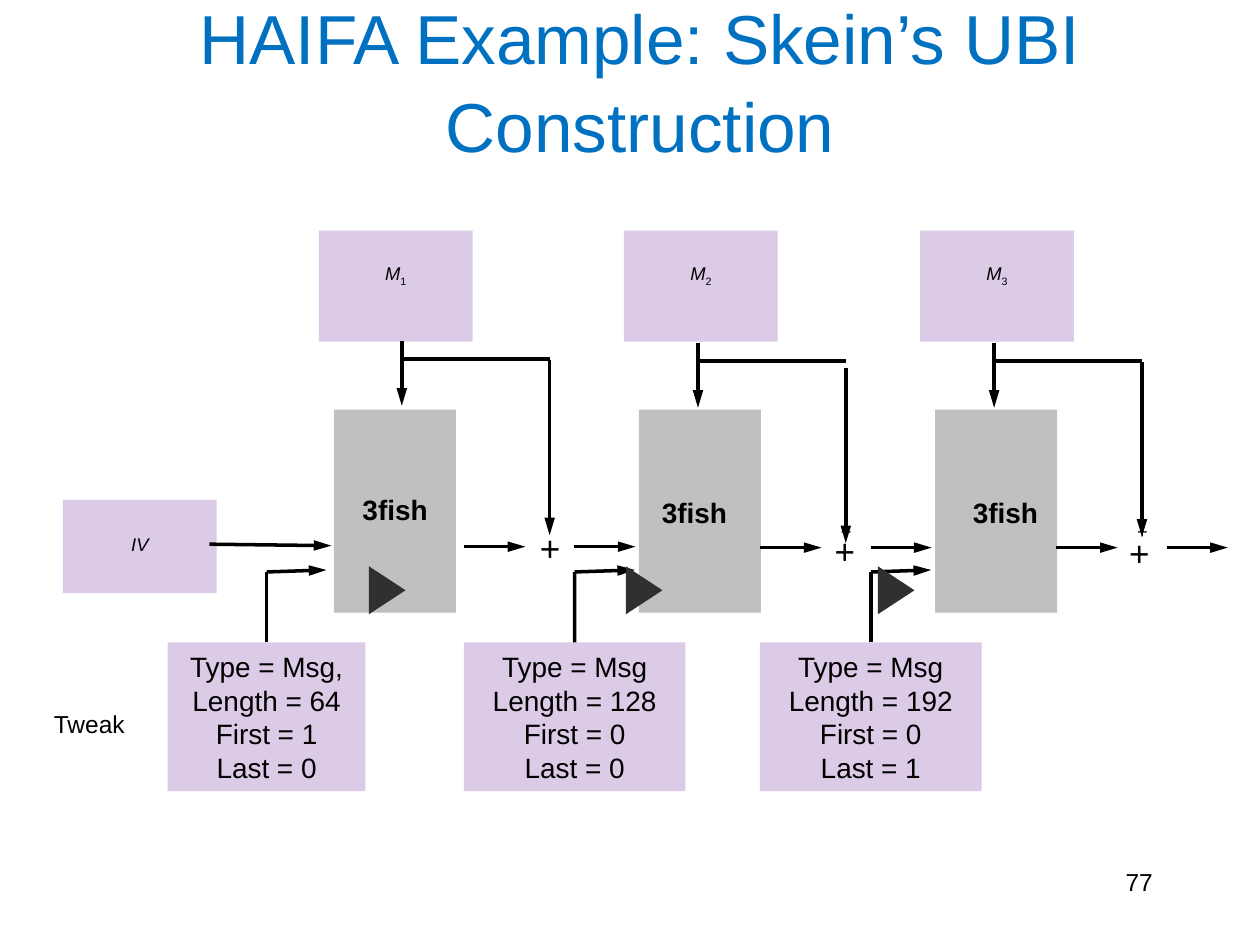
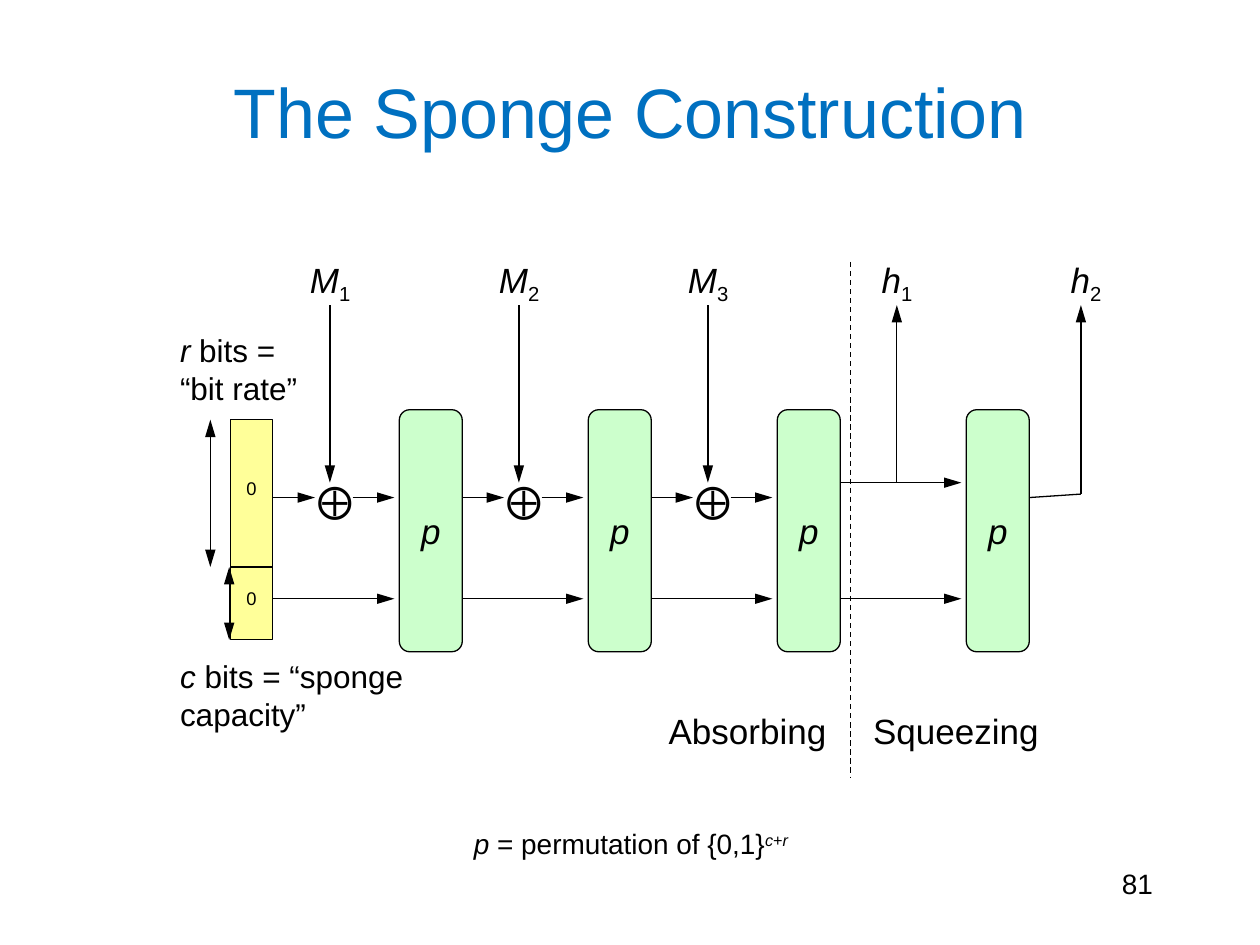
"""Builds two slides on hash constructions: Skein's UBI chain and the sponge."""
from lxml.etree import SubElement
from pptx import Presentation
from pptx.dml.color import RGBColor
from pptx.enum.dml import MSO_LINE
from pptx.enum.shapes import MSO_CONNECTOR, MSO_SHAPE
from pptx.enum.text import MSO_ANCHOR, PP_ALIGN
from pptx.oxml.ns import qn
from pptx.util import Cm, Pt

FONT = "Arial"
BLACK, TITLE_BLUE, PURPLE = "000000", "0070C0", "7030A0"
GRAY, DARK, YELLOW, GREEN = "C0C0C0", "303030", "FFFF99", "CCFFCC"
LEFT, CENTER, RIGHT = PP_ALIGN.LEFT, PP_ALIGN.CENTER, PP_ALIGN.RIGHT

UBI_TITLE = {"text": "HAIFA Example: Skein’s UBI Construction", "size": 39.6,
             "box": (2.11, 0, 21.59, 3.18), "spacing": 1.05}
SPONGE_TITLE = {"text": "The Sponge Construction", "size": 40,
                "box": (1.91, 0.64, 21.59, 3.18), "spacing": 1}

UBI_PITCH = 5.97
UBI_STAGES = [
    {"block": 6.73, "label": (6.81, 9.8, 2.31), "marker": 7.32, "drop": 0, "feed": 7.26,
     "tweak_width": 3.99, "tweak_end": 6.58,
     "tweak": ["Type = Msg,", "Length = 64", "First = 1", "Last = 0"]},
    {"block": 12.88, "label": (12.78, 9.86, 2.44), "marker": 12.5, "drop": 0.04, "feed": 7.42,
     "tweak_width": 4.47, "tweak_end": 12.8,
     "tweak": ["Type = Msg", "Length = 128", "First = 0", "Last = 0"]},
    {"block": 18.85, "label": (19.05, 9.86, 2.44), "marker": 17.58, "drop": 0.04, "feed": 7.29,
     "tweak_width": 4.47, "tweak_end": 18.77,
     "tweak": ["Type = Msg", "Length = 192", "First = 0", "Last = 1"]},
]

SPONGE_PITCH = 3.81
SPONGE_LABELS = ["M1", "M2", "M3", "h1", "h2"]
ABSORB_COUNT, BLOCK_COUNT = 3, 4
STATE_CELLS = [(8.46, 2.97), (11.43, 1.47)]
SPONGE_NOTES = [
    ([("r", "i"), (" bits = “bit rate”", "")], (3.38, 6.55, 2.97, 1.8), 18, LEFT),
    ([("c", "i"), (" bits = “sponge capacity”", "")], (3.38, 13.13, 5.92, 1.8), 18, LEFT),
    ([("Absorbing", "")], (11.63, 14.17, 5.28, 1.12), 20, RIGHT),
    ([("Squeezing", "")], (17.35, 14.17, 5.28, 1.12), 20, LEFT),
    ([("p", "i"), (" = permutation of {0,1}", ""), ("c", "i^"), ("+", "^"), ("r", "i^")],
     (6.05, 16.54, 13.34, 0.94), 16, CENTER),
]


def rgb(color):
    return RGBColor.from_string(color)


def write_text(frame, paragraphs, size, align=CENTER, color=BLACK, spacing=None):
    frame.word_wrap = True
    for index, runs in enumerate(paragraphs):
        paragraph = frame.paragraphs[0] if index == 0 else frame.add_paragraph()
        paragraph.alignment = align
        if spacing:
            paragraph.line_spacing = spacing
        for text, style in runs:
            run = paragraph.add_run()
            run.text = text
            run.font.name = FONT
            run.font.size = Pt(size)
            run.font.color.rgb = rgb(color)
            run.font.italic = "i" in style
            run.font.bold = "b" in style
            if "_" in style or "^" in style:
                baseline = "-25000" if "_" in style else "30000"
                run.font._element.set("baseline", baseline)


def add_text(slide, runs, box, size, align=CENTER, color=BLACK,
             anchor=MSO_ANCHOR.TOP, spacing=None):
    text_box = slide.shapes.add_textbox(*map(Cm, box))
    text_box.text_frame.vertical_anchor = anchor
    write_text(text_box.text_frame, [runs], size, align, color, spacing)


def add_box(slide, box, fill, outline=False, alpha=None, kind=MSO_SHAPE.RECTANGLE):
    shape = slide.shapes.add_shape(kind, *map(Cm, box))
    shape.shadow.inherit = False
    shape.fill.solid()
    shape.fill.fore_color.rgb = rgb(fill)
    if alpha:
        color = shape._element.spPr.find(".//" + qn("a:srgbClr"))
        SubElement(color, qn("a:alpha")).set("val", str(alpha * 1000))
    if outline:
        shape.line.color.rgb = rgb(BLACK)
        shape.line.width = Pt(0.75)
    else:
        shape.line.fill.background()
    return shape


def fill_box(shape, paragraphs, size, lift=0):
    frame = shape.text_frame
    frame.vertical_anchor = MSO_ANCHOR.MIDDLE
    frame.margin_bottom = Cm(0.13 + 2 * lift)
    write_text(frame, paragraphs, size)


def add_line(slide, start, end, width, heads="", dash=False):
    connector = slide.shapes.add_connector(
        MSO_CONNECTOR.STRAIGHT, *map(Cm, (*start, *end)))
    connector.line.color.rgb = rgb(BLACK)
    connector.line.width = Pt(width)
    if dash:
        connector.line.dash_style = MSO_LINE.DASH
    outline = connector.line._get_or_add_ln()
    for mark, tag in (("<", "a:headEnd"), (">", "a:tailEnd")):
        if mark in heads:
            arrow = SubElement(outline, qn(tag))
            for name, value in (("type", "triangle"), ("w", "med"), ("len", "lg")):
                arrow.set(name, value)
    SubElement(connector._element.spPr, qn("a:effectLst"))
    return connector


def start_slide(presentation, title, number, number_size):
    slide = presentation.slides.add_slide(presentation.slide_layouts[6])
    add_text(slide, [(title["text"], "")], title["box"], title["size"],
             color=TITLE_BLUE, anchor=MSO_ANCHOR.MIDDLE, spacing=title["spacing"])
    add_text(slide, [(number, "")], (18.21, 17.35, 5.28, 1.27), number_size, RIGHT)
    return slide


def indexed(label):
    return [(label[0], "i"), (label[1:], "_")]


def add_ubi_stage(slide, index, stage):
    shift, drop = index * UBI_PITCH, stage["drop"]
    block = stage["block"]
    add_box(slide, (block, 8.26, 2.46, 4.09), GRAY)
    message = add_box(slide, (block - 0.3, 4.65, 3.1, 2.24), PURPLE, alpha=25)
    fill_box(message, [indexed(f"M{index + 1}")], 10.5, lift=0.23)

    message_x, xor_x = 8.1 + shift, 11.08 + shift
    branch_y, chain_y = 7.24 + drop, 11.02 + drop / 2
    add_line(slide, (message_x, 6.88 + drop), (message_x, 8.18 + drop), 2, ">")
    add_line(slide, (message_x, branch_y), (xor_x, branch_y), 2)
    add_line(slide, (xor_x, stage["feed"]), (xor_x, stage["feed"] + 3.53), 2, ">")
    for start, length in ((9.35, 1.24), (11.58, 1.23)):
        add_line(slide, (start + shift, chain_y), (start + length + shift, chain_y), 2, ">")
    if index:
        add_text(slide, [("+", "")], (10.34 + shift, 10.36, 1.5, 0.71), 10.5)
    add_text(slide, [("+", "")], (10.34 + index * 5.94, 10.49 + index * 0.05, 1.5, 1.12), 20)

    tweak_x, width = 3.38 + shift, stage["tweak_width"]
    tweak = add_box(slide, (tweak_x, 12.95, width, 3), PURPLE, alpha=25)
    fill_box(tweak, [[(line, "")] for line in stage["tweak"]], 16)
    corner = (tweak_x + width / 2, 11.53)
    riser = add_line(slide, (corner[0], 12.95), corner, 2)
    riser.begin_connect(tweak, 0)
    add_line(slide, corner, (stage["tweak_end"], 11.49), 2, ">")

    add_text(slide, [("3fish", "b")], (*stage["label"], 0.94), 16)
    marker = add_box(slide, (stage["marker"], 11.53, 0.97, 0.74), DARK,
                     kind=MSO_SHAPE.ISOSCELES_TRIANGLE)
    marker.rotation = 90


def build_ubi(presentation):
    slide = start_slide(presentation, UBI_TITLE, "77", 14)
    initial_value = add_box(slide, (1.27, 10.08, 3.1, 1.88), PURPLE, alpha=25)
    fill_box(initial_value, [[("IV", "i")]], 10.5, lift=0.05)
    for index, stage in enumerate(UBI_STAGES):
        add_ubi_stage(slide, index, stage)
    add_line(slide, (4.22, 10.97), (6.68, 11), 2, ">")
    add_text(slide, [("Tweak", "")], (0.43, 14.17, 2.74, 0.86), 14)


def build_sponge(presentation):
    slide = start_slide(presentation, SPONGE_TITLE, "81", 16)

    def arrow(start, end, heads=">"):
        add_line(slide, start, end, 0.75, heads)

    for top, height in STATE_CELLS:
        cell = add_box(slide, (4.65, top, 0.84, height), YELLOW, outline=True)
        cell.text_frame.margin_left = cell.text_frame.margin_right = 0
        fill_box(cell, [[("0", "")]], 10.5, lift=0.1)
    for x, (top, height) in zip((4.24, 4.62), STATE_CELLS):
        arrow((x, top), (x, top + height), "<>")

    for index, label in enumerate(SPONGE_LABELS):
        box = (5.92 + index * SPONGE_PITCH, 5.08, 1.47, 1.12)
        add_text(slide, indexed(label), box, 20)

    for index in range(BLOCK_COUNT):
        shift = index * SPONGE_PITCH
        block = add_box(slide, (8.05 + shift, 8.26, 1.27, 4.88), GREEN, outline=True,
                        kind=MSO_SHAPE.ROUNDED_RECTANGLE)
        block.adjustments[0] = 0.167
        fill_box(block, [[("p", "i")]], 20)
        arrow((5.51 + shift, 12.07), (7.95 + shift, 12.07))
        if index < ABSORB_COUNT:
            add_text(slide, [("⨁", "")], (6.15 + shift, 9.53, 1.07, 1.12), 20)
            arrow((5.51 + shift, 10.03), (6.35 + shift, 10.03))
            arrow((7.11 + shift, 10.03), (7.95 + shift, 10.03))
            arrow((6.65 + shift, 6.15), (6.65 + shift, 9.73))

    arrow((16.94, 9.73), (19.38, 9.73))
    arrow((18.08, 9.73), (18.08, 6.15))
    arrow((20.75, 10.03), (21.79, 9.96), "")
    arrow((21.79, 9.96), (21.79, 6.15))
    add_line(slide, (17.15, 5.28), (17.15, 15.67), 0.75, dash=True)
    for runs, box, size, align in SPONGE_NOTES:
        add_text(slide, runs, box, size, align)


def main():
    presentation = Presentation()
    presentation.slide_width, presentation.slide_height = Cm(25.4), Cm(19.05)
    build_ubi(presentation)
    build_sponge(presentation)
    presentation.save("out.pptx")


if __name__ == "__main__":
    main()
